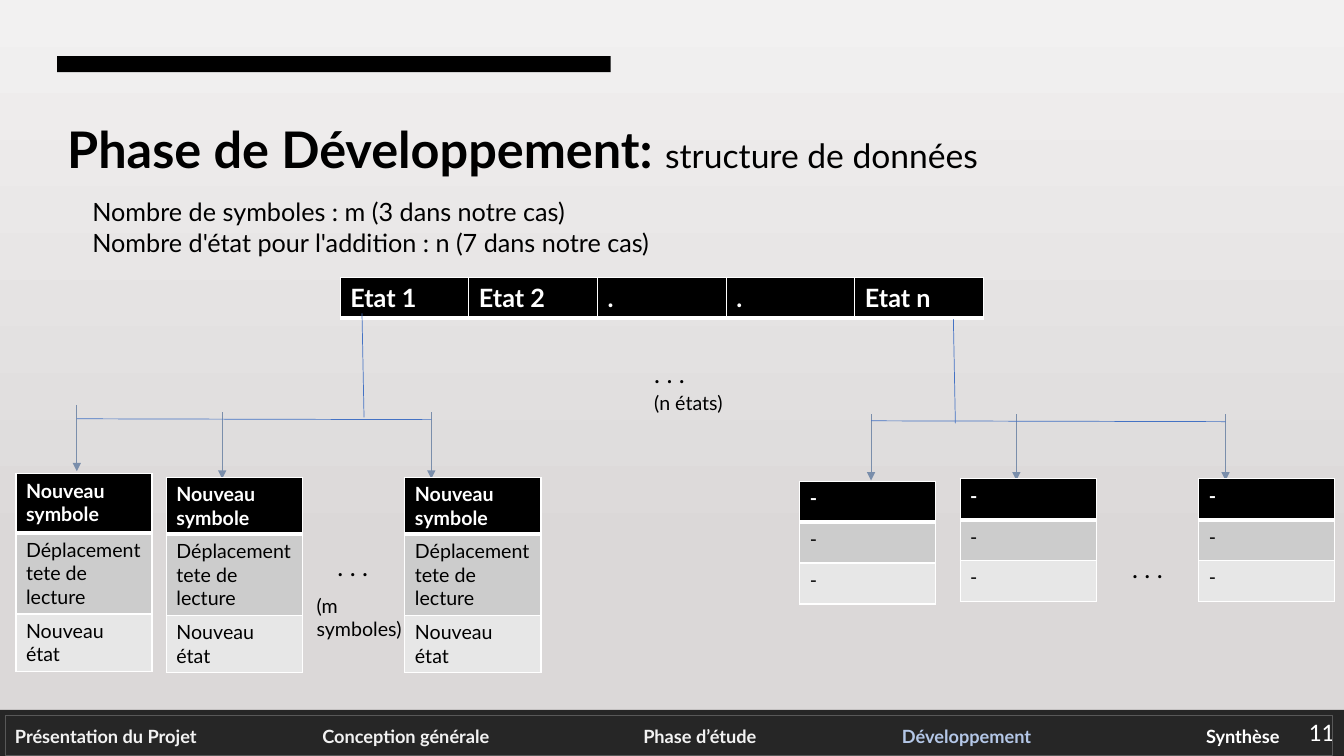
import pptx
import pptx.dml.color
import pptx.enum.shapes
import pptx.enum.text
import pptx.oxml
import pptx.oxml.ns
import pptx.util

COLUMNS, ROWS = 160, 90
BLACK, WHITE, BRANCH, ARROW = "000000", "FFFFFF", "4472C4", "7A8EAB"
BACKGROUND = [(0, "F2F1F1"), (74, "DBD8D8"), (94, "DBD8D8"), (100, "B8B2B2")]

TITLE = [("Phase de Développement: ", {"size": 36, "bold": True}),
         ("structure de données", {"size": 24})]
COUNTS = ["Nombre de symboles : m (3 dans notre cas)",
          "Nombre d'état pour l'addition : n (7 dans notre cas)"]
STATES = ["Etat 1", "Etat 2", ".", ".", "Etat n"]
SECTIONS = [("Présentation du Projet", "F2F2F2", 0),
            ("Conception générale", "F2F2F2", 36.6),
            ("Phase d’étude", "F2F2F2", 74.8),
            ("Développement", "B4C7E7", 105.6),
            ("Synthèse", WHITE, 141.8)]
PAGE = "11"

TRANSITION = ["Nouveau symbole", "Déplacement tete de lecture", "Nouveau état"]
ROW_FILLS = [BLACK, "CCCCCC", "E7E7E7"]
ARROW_OFFSETS = [0, 17.3, 42.2]
ARROW_LENGTH = 7.9
TRUNK = (0.24, 12.4)
TABLE_WIDTH = 16.2
FULL_ROWS, SHORT_ROWS = [6.8, 9.65, 6.8], [4.87] * 3
BRANCHES = [
    {"trunk": (43.1, 37.3), "bar": (9.15, 49.86), "cells": TRANSITION,
     "tables": [(1.9, 56.4, 48.2, [7.05, 9.65, 6.8]),
                (19.8, 56.8, 49.1, FULL_ROWS),
                (48.2, 56.8, 49.1, FULL_ROWS)]},
    {"trunk": (113.5, 38), "bar": (103.7, 50.1), "cells": ["-"] * 3,
     "tables": [(95.2, 57.3, 49.3, SHORT_ROWS),
                (114.3, 57, 49.3, SHORT_ROWS),
                (142.7, 57, 49.3, SHORT_ROWS)]},
]
ELLIPSIS = ". . ."
LABELS = [(ELLIPSIS, 18, (76.7, 42.1, 7, 4.8)),
          ("(n états)", 14, (76.7, 46, 11.9, 4.1)),
          (ELLIPSIS, 18, (39, 65, 7, 4.8)),
          ("(m symboles)", 14, (36.5, 70.1, 14.8, 6.8)),
          (ELLIPSIS, 18, (133.6, 65.3, 7, 4.8))]

deck = pptx.Presentation()
deck.slide_width = pptx.util.Inches(COLUMNS / 12)
deck.slide_height = pptx.util.Inches(ROWS / 12)
slide = deck.slides.add_slide(deck.slide_layouts[1])


def grid(*cells):
    return [round(cell * deck.slide_width / COLUMNS) for cell in cells]


def color(value):
    return pptx.dml.color.RGBColor.from_string(value)


def element(parent, tag, **attributes):
    child = parent.makeelement(pptx.oxml.ns.qn(tag), attributes)
    parent.append(child)
    return child


def write(frame, paragraphs, size=18, ink=BLACK, bold=False, font="Lato",
          anchor="TOP", margin=None, tabs=(), plain_list=False):
    frame.word_wrap = True
    frame.auto_size = pptx.enum.text.MSO_AUTO_SIZE.NONE
    frame.vertical_anchor = pptx.enum.text.MSO_ANCHOR[anchor]
    if margin is not None:
        frame.margin_left = frame.margin_right = margin
    for index, runs in enumerate(paragraphs):
        paragraph = frame.add_paragraph() if index else frame.paragraphs[0]
        paragraph.alignment = pptx.enum.text.PP_ALIGN.LEFT
        properties = paragraph._p.get_or_add_pPr()
        if plain_list:
            paragraph.space_before = pptx.util.Pt(0)
            properties.set("marL", "0")
            properties.set("indent", "0")
            element(properties, "a:buNone")
        if tabs:
            stops = element(properties, "a:tabLst")
            for stop in tabs:
                element(stops, "a:tab", pos=str(grid(stop)[0]), algn="l")
        for text, style in ([(runs, {})] if isinstance(runs, str) else runs):
            run = paragraph.add_run()
            run.text = text
            run.font.name = font
            run.font.size = pptx.util.Pt(style.get("size", size))
            run.font.bold = style.get("bold", bold)
            run.font.color.rgb = color(style.get("ink", ink))


def place(shape, *box):
    shape.left, shape.top, shape.width, shape.height = grid(*box)
    return shape.text_frame


def label(text, box, **style):
    write(slide.shapes.add_textbox(*grid(*box)).text_frame, [text], **style)


def rectangle(box, fill=None, line=None):
    shape = slide.shapes.add_shape(
        pptx.enum.shapes.MSO_SHAPE.RECTANGLE, *grid(*box))
    shape.shadow.inherit = False
    if fill:
        shape.fill.solid()
        shape.fill.fore_color.rgb = color(fill)
    else:
        shape.fill.background()
    if line:
        shape.line.color.rgb = color(line)
        shape.line.width = pptx.util.Pt(0.75)
    else:
        shape.line.fill.background()
    return shape.text_frame


def link(x1, y1, x2, y2, ink, arrow=False):
    line = slide.shapes.add_connector(
        pptx.enum.shapes.MSO_CONNECTOR.STRAIGHT, *grid(x1, y1, x2, y2))
    line.line.color.rgb = color(ink)
    line.line.width = pptx.util.Pt(0.5)
    if arrow:
        element(line.line._get_or_add_ln(), "a:tailEnd", type="triangle")
    element(line._element.spPr, "a:effectLst")


def table(left, top, width, heights, rows, size):
    columns = len(rows[0])
    grid_table = slide.shapes.add_table(
        len(rows), columns, *grid(left, top, width, sum(heights))).table
    for column in grid_table.columns:
        column.width = grid(width / columns)[0]
    for index, (height, texts) in enumerate(zip(heights, rows)):
        grid_table.rows[index].height = grid(height)[0]
        header = index == 0
        for cell, text in zip(grid_table.rows[index].cells, texts):
            properties = cell._tc.get_or_add_tcPr()
            for side in "LRTB":
                points = 3 if header and side == "B" else 1
                border = element(properties, "a:ln" + side,
                                 w=str(pptx.util.Pt(points)))
                element(element(border, "a:solidFill"), "a:srgbClr", val=WHITE)
            cell.fill.solid()
            cell.fill.fore_color.rgb = color(ROW_FILLS[index])
            write(cell.text_frame, [text], size=size, bold=header,
                  ink=WHITE if header else BLACK)


backdrop = slide.background.fill
backdrop.gradient()
backdrop.gradient_angle = 270
stops = slide._element.find(".//" + pptx.oxml.ns.qn("a:gsLst"))
for stop in list(stops):
    stops.remove(stop)
for share, tint in BACKGROUND:
    element(element(stops, "a:gs", pos=str(share * 1000)), "a:srgbClr", val=tint)

rectangle((6.8, 6.7, 65.9, 1.9), fill=BLACK)
write(place(slide.shapes.title, 6.8, 12.8, 135.5, 9.7), [TITLE], anchor="MIDDLE")
write(place(slide.placeholders[1], 9.8, 22.8, 139.7, 8.5), COUNTS, plain_list=True)

rectangle((0, 84.5, COLUMNS, 5.5), fill="262626")
label(PAGE, (155.8, 84.7, 4.2, 4.8), ink=WHITE, font="Calibri", margin=0)
navigation = [("\t" * (start > 0) + name, {"ink": ink})
              for name, ink, start in SECTIONS]
write(rectangle((0.6, 85.2, 158, 4.8), line="585858"), [navigation], size=13,
      bold=True, anchor="MIDDLE", tabs=[start for _, _, start in SECTIONS[1:]])

table(40.5, 33, 76.6, [4.9], [STATES], 18)
for branch in BRANCHES:
    bar_left, bar_top = branch["bar"]
    trunk_left, trunk_top = branch["trunk"]
    for offset, (left, top, arrow_top, heights) in zip(ARROW_OFFSETS, branch["tables"]):
        stem = bar_left + offset
        link(stem, arrow_top, stem, arrow_top + ARROW_LENGTH, ARROW, arrow=True)
        table(left, top, TABLE_WIDTH, heights,
              [[text] for text in branch["cells"]], 14)
    link(bar_left, bar_top, bar_left + ARROW_OFFSETS[-1], bar_top + 0.1, BRANCH)
    link(trunk_left, trunk_top, trunk_left + TRUNK[0], trunk_top + TRUNK[1], BRANCH)

for text, size, box in LABELS:
    label(text, box, size=size)

deck.save("out.pptx")
